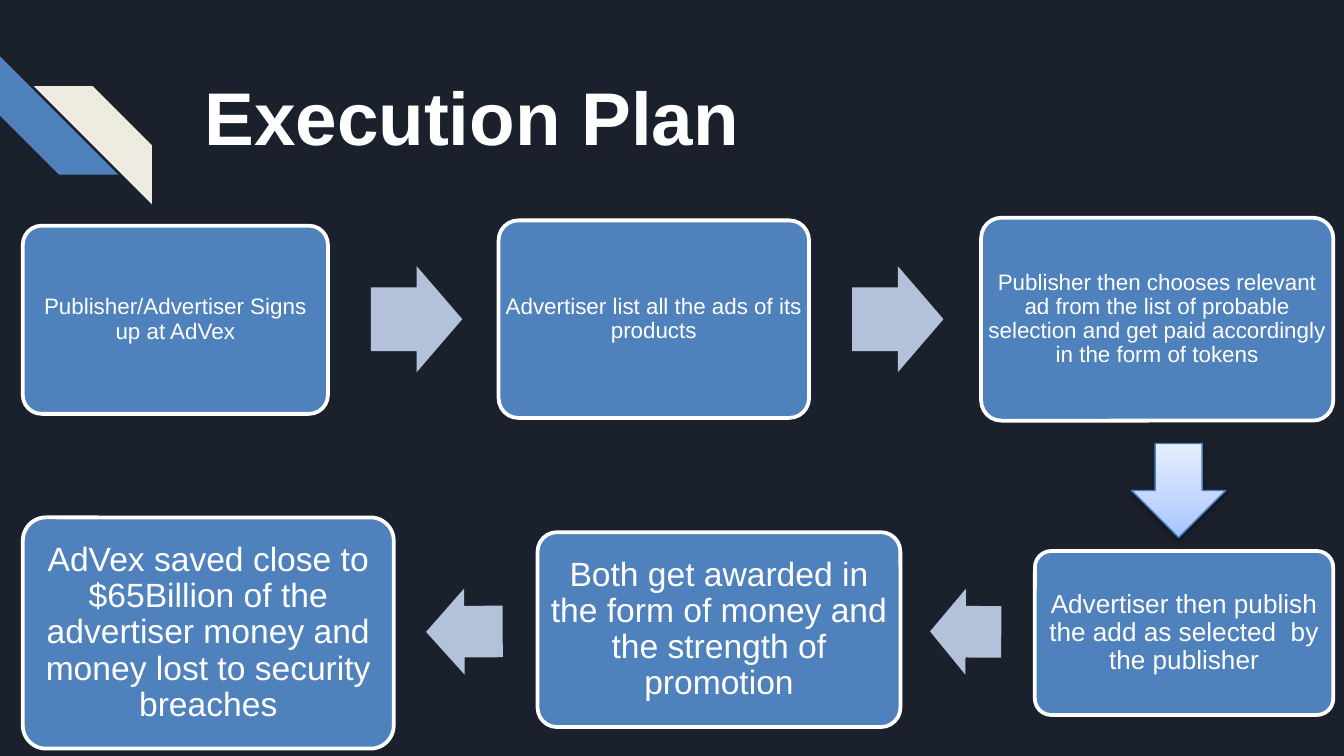
from copy import deepcopy

from lxml.etree import SubElement
from pptx import Presentation
from pptx.dml.color import RGBColor
from pptx.enum.shapes import MSO_SHAPE as SHAPE
from pptx.enum.text import MSO_ANCHOR as ANCHOR, PP_ALIGN as ALIGN
from pptx.oxml.ns import qn
from pptx.util import Inches, Pt

BLUE, CREAM, PALE, WHITE, NAVY = "4F81BD", "EEECE1", "B3C1DB", "FFFFFF", "1B212C"

# Left, top, width, height, inset, size, text
STEPS = [
    (0.17, 1.68, 2.27, 1.4, 0.05, 12, "Publisher/Advertiser Signs up at AdVex"),
    (3.71, 1.64, 2.31, 1.47, 0.05, 12, "Advertiser list all the ads of its products"),
    (7.3, 1.62, 2.62, 1.51, 0.05, 12,
     "Publisher then chooses relevant ad from the list of probable selection "
     "and get paid accordingly in the form of tokens"),
    (7.7, 4.1, 2.22, 1.22, 0.06, 14,
     "Advertiser then publish the add as selected  by the publisher"),
    (4, 3.96, 2.7, 1.45, 0.07, 18,
     "Both get awarded in the form of money and the strength of promotion"),
    (0.17, 3.85, 2.76, 1.72, 0.07, 18,
     "AdVex saved close to $65Billion of the advertiser money and money lost "
     "to security breaches"),
]
# Left, top, width, height, rotation
ARROWS = [
    (2.76, 1.98, 0.68, 0.79, 0),
    (6.34, 1.98, 0.68, 0.79, 0),
    (6.92, 4.38, 0.53, 0.64, 180.4),
    (3.17, 4.38, 0.57, 0.64, 179.6),
]
GRADIENT = [(0, "A4C4FF"), (0.35, "BFD4FF"), (1, "E6EEFF")]
CORNER = 0.1


def rgb(value):
    return RGBColor.from_string(value)


def add_shape(kind, left, top, width, height, fill, line=None, line_width=2, adj=()):
    sp = s.shapes.add_shape(kind, *map(Inches, (left, top, width, height)))
    sp.shadow.inherit = False
    sp.fill.solid()
    sp.fill.fore_color.rgb = rgb(fill)
    if line:
        sp.line.color.rgb = rgb(line)
        sp.line.width = Pt(line_width)
    else:
        sp.line.fill.background()
    for i, value in enumerate(adj):
        sp.adjustments[i] = value
    return sp


def set_text(sp, text, size, inset, anchor, align, bold=False, spacing=1.0):
    tf = sp.text_frame
    tf.word_wrap = True
    tf.vertical_anchor = anchor
    for side in ("left", "top", "right", "bottom"):
        setattr(tf, f"margin_{side}", Inches(inset))
    p = tf.paragraphs[0]
    p.alignment, p.line_spacing = align, spacing
    r = p.add_run()
    r.text = text
    for name, value in {"name": "Arial", "size": Pt(size), "bold": bold}.items():
        setattr(r.font, name, value)
    r.font.color.rgb = rgb(WHITE)


def add_step(left, top, width, height, inset, size, text):
    sp = add_shape(SHAPE.ROUNDED_RECTANGLE, left, top, width, height,
                   BLUE, WHITE, adj=[CORNER])
    # A rounded corner already moves the text in by 0.29 of its radius
    inset = max(0, inset - 0.29 * CORNER * height)
    set_text(sp, text, size, inset, ANCHOR.MIDDLE, ALIGN.CENTER, spacing=0.9)


def add_down_arrow():
    sp = add_shape(SHAPE.DOWN_ARROW, 8.42, 3.3, 0.7, 0.7, PALE, "4B7EBC", 0.75)
    sp.fill.gradient()
    sp.fill.gradient_angle = 90
    stops = sp._element.spPr.find(f".//{qn('a:gsLst')}")
    stops.append(deepcopy(stops[0]))
    for stop, (position, color) in zip(sp.fill.gradient_stops, GRADIENT):
        stop.position = position
        stop.color.rgb = rgb(color)
    effects = sp._element.spPr.find(qn("a:effectLst"))
    shadow = SubElement(effects, qn("a:outerShdw"), blurRad=str(Pt(3.1)),
                        dist=str(Pt(1.6)), dir="5400000", rotWithShape="0")
    color = SubElement(shadow, qn("a:srgbClr"), val="000000")
    SubElement(color, qn("a:alpha"), val="38000")


prs = Presentation()
prs.slide_width = Inches(10)
prs.slide_height = prs.slide_width * 9 // 16
s = prs.slides.add_slide(prs.slide_layouts[5])
s.background.fill.solid()
s.background.fill.fore_color.rgb = rgb(NAVY)

stripe = add_shape(SHAPE.DIAGONAL_STRIPE, 0, 0.42, 0.88, 0.88, BLUE, adj=[0.5])
stripe.rotation = 270
stripe = add_shape(SHAPE.DIAGONAL_STRIPE, 0.25, 0.64, 0.88, 0.88, CREAM, adj=[0.5])
stripe._element.spPr.find(qn("a:xfrm")).set("flipH", "1")

title = s.shapes.title
title.left, title.top, title.width, title.height = map(Inches, (1.42, 0.43, 7.7, 1))
set_text(title, "Execution Plan", 40, 0.1, ANCHOR.TOP, ALIGN.LEFT, bold=True)

for step in STEPS:
    add_step(*step)
for *box, rotation in ARROWS:
    arrow = add_shape(SHAPE.RIGHT_ARROW, *box, PALE, adj=[0.6, 0.5])
    arrow.rotation = rotation
add_down_arrow()

prs.save("out.pptx")
